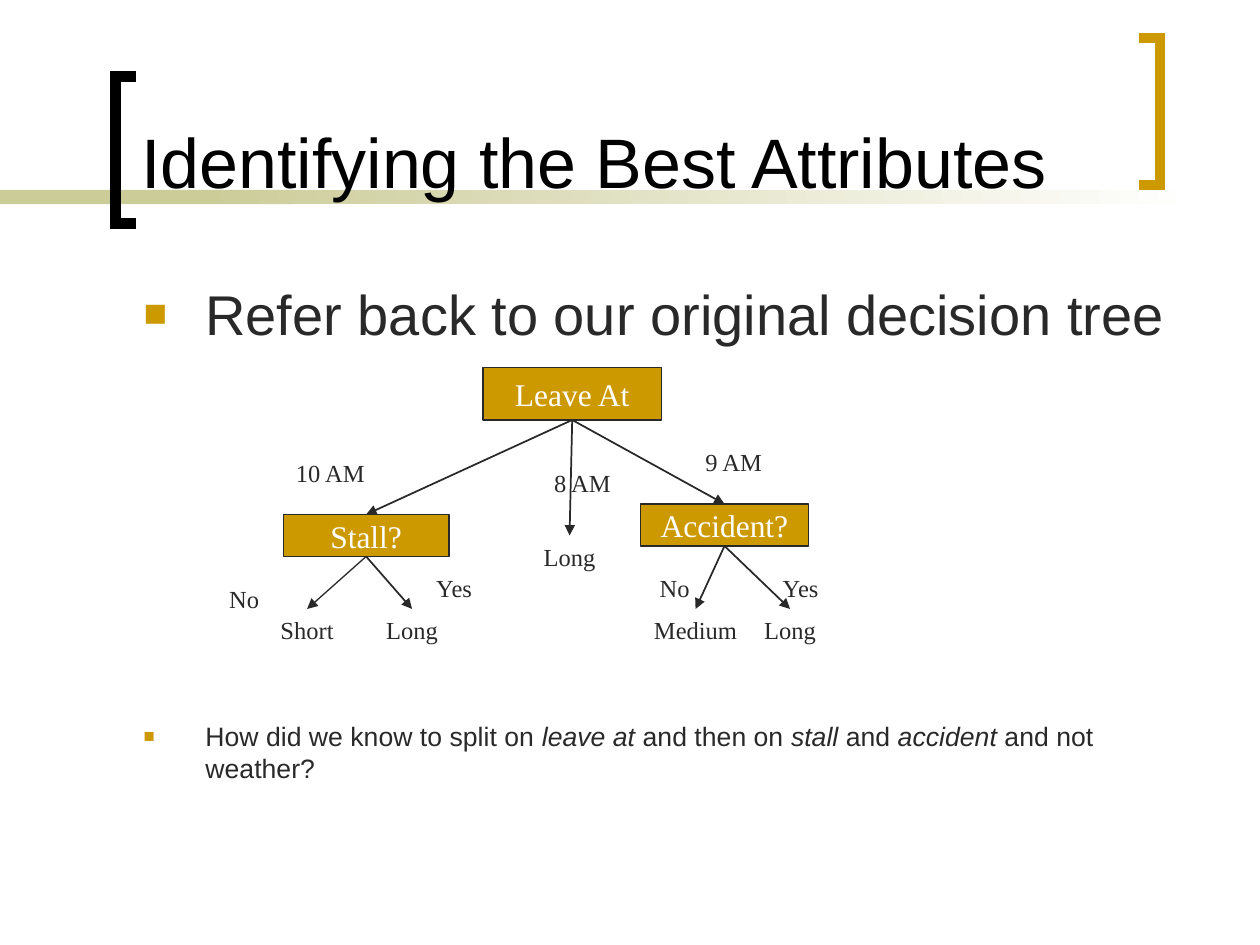
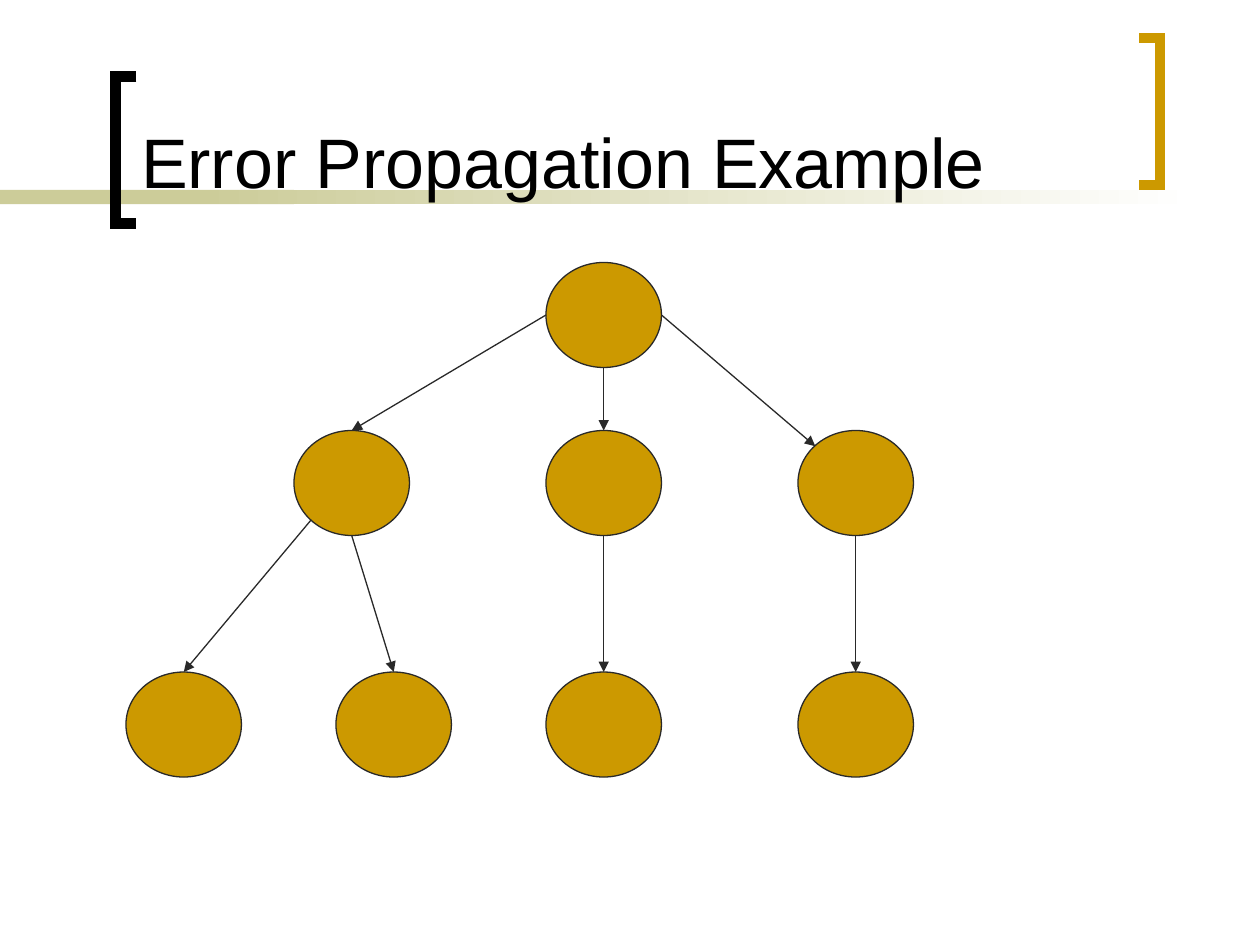
from lxml import etree
from pptx import Presentation
from pptx.dml.color import RGBColor as RGB
from pptx.enum.shapes import MSO_CONNECTOR as LINK, MSO_SHAPE as KIND
from pptx.enum.text import MSO_ANCHOR as ANCHOR, PP_ALIGN as ALIGN
from pptx.oxml.ns import qn
from pptx.util import Inches, Pt

hues = {"ink": "292929", "gold": "CC9900", "sand": "CCCC99",
        "white": "FFFFFF", "black": "000000"}
hue = {name: RGB.from_string(code) for name, code in hues.items()}
sans, serif = "Arial", "Times New Roman"

deck = Presentation()
deck.slide_width, deck.slide_height = Inches(10), Inches(7.5)
unit = deck.slide_width // 120  # grid of 120 columns by 90 rows


def write(shape, words, size, face, tint="ink", align=ALIGN.LEFT,
          gap=0, anchor=ANCHOR.TOP, wrap=True):
    """Fill a shape with one paragraph; words between stars are italic."""
    frame = shape.text_frame
    frame.word_wrap, frame.vertical_anchor = wrap, anchor
    para = frame.paragraphs[0]
    para.alignment, para.space_before = align, Pt(gap)
    font = para.font
    font.size, font.name, font.color.rgb = Pt(size), face, hue[tint]
    for i, part in enumerate(words.split("*")):
        run = para.add_run()
        run.text = part
        if i % 2:
            run.font.italic = True
    return para


def arrow(slide, start, end, width=0.75):
    """Draw an arrow between two grid points."""
    ends = [int(v * unit) for v in (*start, *end)]
    line = slide.shapes.add_connector(LINK.STRAIGHT, *ends)
    line.line.color.rgb, line.line.width = hue["ink"], Pt(width)
    etree.SubElement(line.line._get_or_add_ln(), qn("a:tailEnd"), type="triangle")
    etree.SubElement(line._element.spPr, qn("a:effectLst"))
    return line


# Shared frame: bands, brackets, title
bands = [(0, 18.1, 28, 1.35), (19, 18.1, 95, 1.35)]
hooks = [("black", 13, 11, 7.3), ("gold", 108.5, 110.5, 3.6)]
slides = []
for title in ("Identifying the Best Attributes", "Error Propagation Example"):
    slide = deck.slides.add_slide(deck.slide_layouts[6])
    slides.append(slide)
    for at, fade in zip(bands, (False, True)):
        band = slide.shapes.add_shape(KIND.RECTANGLE, *[int(v * unit) for v in at])
        band.shadow.inherit = False
        band.line.fill.background()
        if fade:
            band.fill.gradient()
            band.fill.gradient_angle = 0
            for stop, tint in zip(band.fill.gradient_stops, ("sand", "white")):
                stop.color.rgb = hue[tint]
        else:
            band.fill.solid()
            band.fill.fore_color.rgb = hue["sand"]
    for tint, tip, back, top in hooks:
        dots = [(int(x * unit), int(y * unit)) for x, y in
                ((tip, top), (back, top), (back, top + 14), (tip, top + 14))]
        pen = slide.shapes.build_freeform(*dots[0])
        pen.add_line_segments(dots[1:], close=False)
        hook = pen.convert_to_shape()
        hook.shadow.inherit = False
        hook.fill.background()
        hook.line.color.rgb, hook.line.width = hue[tint], Pt(6)
        etree.SubElement(hook.line._get_or_add_ln(), qn("a:miter"), lim="800000")
    box = slide.shapes.add_textbox(*[int(v * unit) for v in (12.25, 1.3, 94, 18.6)])
    write(box, title, 40, sans, "black", anchor=ANCHOR.BOTTOM)
tree, net = slides

# Slide 1: bullets
notes = [(26, 32, "Refer back to our original decision tree"),
         (68, 15.2, "How did we know to split on *leave at* and then on "
                    "*stall *and *accident *and not weather?")]
for top, size, words in notes:
    box = tree.shapes.add_textbox(*[int(v * unit) for v in (12.5, top, 100.5, 8)])
    para = write(box, words, size, sans, gap=8)
    props = para._p.get_or_add_pPr()
    props.set("marL", str(Inches(0.49)))
    props.set("indent", str(-Inches(0.49)))
    last = props.find(qn("a:defRPr"))
    tone = etree.Element(qn("a:buClr"))
    etree.SubElement(tone, qn("a:srgbClr"), val=hues["gold"])
    for mark in (tone, etree.Element(qn("a:buSzPct"), val="70000"),
                 etree.Element(qn("a:buFont"), typeface=sans),
                 etree.Element(qn("a:buChar"), char="■")):
        last.addprevious(mark)

# Slide 1: decision boxes
nodes = {}
tests = [("root", "Leave At", (46, 35, 17, 5)),
         ("stall", "Stall?", (27, 49, 15.75, 4)),
         ("crash", "Accident?", (61, 48, 16, 4))]
for key, words, at in tests:
    box = tree.shapes.add_shape(KIND.RECTANGLE, *[int(v * unit) for v in at])
    box.shadow.inherit = False
    box.fill.solid()
    box.fill.fore_color.rgb = hue["gold"]
    box.line.color.rgb, box.line.width = hue["ink"], Pt(1)
    write(box, words, 18, serif, "white", ALIGN.CENTER,
          anchor=ANCHOR.MIDDLE, wrap=False)
    nodes[key] = box

# Slide 1: branch labels and outcomes
left, mid = ALIGN.LEFT, ALIGN.CENTER
tags = [("ten", "10 AM", 27, 43, 14.25, left), ("nine", "9 AM", 66, 42, 12.5, left),
        ("eight", "8 AM", 51.6, 44, 12.5, left),
        ("no1", "No", 17, 55, 12.5, mid), ("yes1", "Yes", 37, 54, 12.5, mid),
        ("no2", "No", 58, 54, 12.5, mid), ("yes2", "Yes", 70, 54, 12.5, mid),
        ("long", "Long", 48, 51, 12.5, mid), ("short1", "Short", 23, 58, 12.5, mid),
        ("long1", "Long", 33, 58, 12.5, mid), ("med2", "Medium", 57, 58, 18.5, mid),
        ("long2", "Long", 69, 58, 12.5, mid)]
for key, words, x, y, wide, align in tags:
    box = tree.shapes.add_textbox(*[int(v * unit) for v in (x, y, wide, 4)])
    write(box, words, 14, serif, align=align, gap=8.8)
    nodes[key] = box

# Slide 1: branches
for top, low in (("root", "stall"), ("root", "crash"), ("root", "long"),
                 ("stall", "short1"), ("stall", "long1"),
                 ("crash", "med2"), ("crash", "long2")):
    line = arrow(tree, (0, 0), (0, 0), 0.75 if low == "short1" else 1)
    line.begin_connect(nodes[top], 2)
    line.end_connect(nodes[low], 0)

# Slide 2: network nodes
wide, high = 11, 10
rows = {25: (52,), 41: (28, 52, 76), 64: (12, 32, 52, 76)}
for y, row in rows.items():
    for x in row:
        node = net.shapes.add_shape(KIND.OVAL, x * unit, y * unit,
                                    wide * unit, high * unit)
        node.shadow.inherit = False
        node.fill.solid()
        node.fill.fore_color.rgb = hue["gold"]
        node.line.color.rgb, node.line.width = hue["ink"], Pt(0.75)

# Slide 2: arrows between rim points, given as shares of a node
rim = {"top": (0.5, 0), "foot": (0.5, 1), "left": (0, 0.5), "right": (1, 0.5),
       "nw": (0.15, 0.15), "sw": (0.15, 0.85)}
paths = [(52, 25, "left", 28, 41, "top"), (52, 25, "foot", 52, 41, "top"),
         (52, 25, "right", 76, 41, "nw"), (28, 41, "sw", 12, 64, "top"),
         (28, 41, "foot", 32, 64, "top"), (52, 41, "foot", 52, 64, "top"),
         (76, 41, "foot", 76, 64, "top")]
for path in paths:
    ends = [(x + rim[side][0] * wide, y + rim[side][1] * high)
            for x, y, side in (path[:3], path[3:])]
    arrow(net, *ends)

deck.save("out.pptx")
